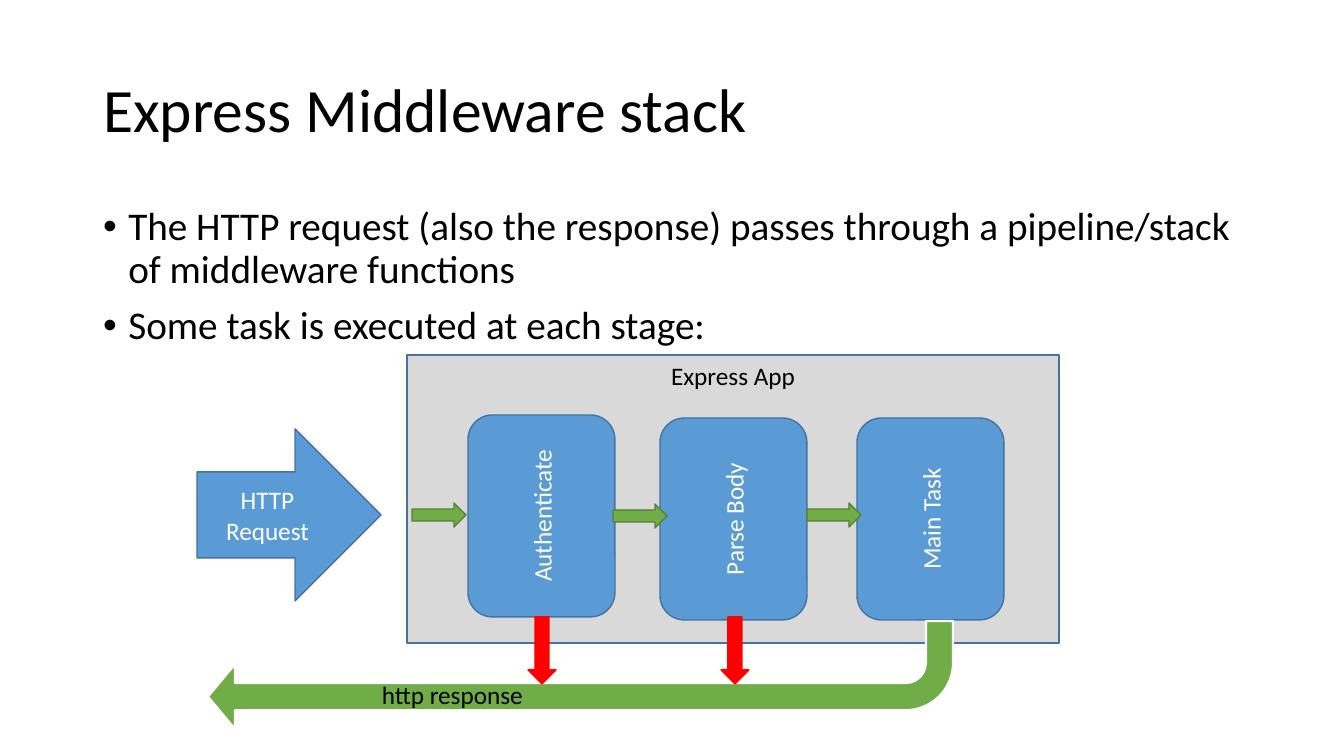
import dataclasses

import pptx
import pptx.dml.color
import pptx.enum.shapes
import pptx.enum.text
import pptx.util

SHAPES = pptx.enum.shapes.MSO_SHAPE
ALIGN = pptx.enum.text.PP_ALIGN
ANCHOR = pptx.enum.text.MSO_ANCHOR
FIT = pptx.enum.text.MSO_AUTO_SIZE
EMU_PER_PIXEL = 914400 / 100.8


@dataclasses.dataclass(frozen=True)
class Theme:
    font: str = "Calibri"
    title_size: int = 44
    body_size: int = 28
    label_size: int = 18
    black: str = "000000"
    white: str = "FFFFFF"
    grey: str = "D9D9D9"
    blue: str = "5B9BD5"
    blue_edge: str = "43739E"
    green: str = "70AD47"
    green_edge: str = "538035"
    red: str = "FF0000"


def emu(pixels):
    return pptx.util.Emu(round(pixels * EMU_PER_PIXEL))


def color(code):
    return pptx.dml.color.RGBColor.from_string(code)


class SlideBuilder:
    def __init__(self, slide, theme):
        self.slide = slide
        self.theme = theme

    def text_run(self, paragraph, text, size, text_color):
        run = paragraph.add_run()
        run.text = text
        run.font.name = self.theme.font
        run.font.size = pptx.util.Pt(size)
        run.font.color.rgb = color(text_color)

    def place(self, placeholder, box):
        left, top, width, height = map(emu, box)
        placeholder.left, placeholder.top = left, top
        placeholder.width, placeholder.height = width, height
        placeholder.text_frame.auto_size = FIT.NONE
        return placeholder.text_frame

    def title(self, text, box):
        frame = self.place(self.slide.shapes.title, box)
        frame.vertical_anchor = ANCHOR.MIDDLE
        paragraph = frame.paragraphs[0]
        paragraph.alignment = ALIGN.LEFT
        paragraph.line_spacing = 0.9
        self.text_run(paragraph, text, self.theme.title_size, self.theme.black)

    def bullets(self, items, box):
        frame = self.place(self.slide.placeholders[1], box)
        for index, item in enumerate(items):
            paragraph = frame.add_paragraph() if index else frame.paragraphs[0]
            paragraph.line_spacing = 0.9
            paragraph.space_before = pptx.util.Pt(10)
            properties = paragraph._p.get_or_add_pPr()
            properties.set("marL", str(pptx.util.Inches(0.25)))
            properties.set("indent", str(pptx.util.Inches(-0.25)))
            self.text_run(paragraph, item, self.theme.body_size, self.theme.black)

    def shape(self, kind, box, fill, edge, edge_width=1):
        shape = self.slide.shapes.add_shape(kind, *map(emu, box))
        shape.shadow.inherit = False
        shape.fill.solid()
        shape.fill.fore_color.rgb = color(fill)
        shape.line.color.rgb = color(edge)
        shape.line.width = pptx.util.Pt(edge_width)
        return shape

    def label(self, shape, text, text_color, anchor=ANCHOR.MIDDLE, upward=False):
        frame = shape.text_frame
        frame.word_wrap = True
        frame.vertical_anchor = anchor
        if upward:
            shape.element.txBody.bodyPr.set("vert", "vert270")
        paragraph = frame.paragraphs[0]
        paragraph.alignment = ALIGN.CENTER
        self.text_run(paragraph, text, self.theme.label_size, text_color)

    def caption(self, text, box):
        frame = self.slide.shapes.add_textbox(*map(emu, box)).text_frame
        frame.word_wrap = False
        frame.auto_size = FIT.SHAPE_TO_FIT_TEXT
        self.text_run(frame.paragraphs[0], text, self.theme.label_size, self.theme.black)


theme = Theme()
presentation = pptx.Presentation()
presentation.slide_width = emu(1344)
presentation.slide_height = emu(756)
slide = presentation.slides.add_slide(presentation.slide_layouts[1])
builder = SlideBuilder(slide, theme)

builder.title("Express Middleware stack", (93, 40, 1159, 146))
builder.bullets(
    [
        "The HTTP request (also the response) passes through a pipeline/stack of middleware functions",
        "Some task is executed at each stage:",
    ],
    (93, 202, 1159, 480),
)

application = builder.shape(SHAPES.RECTANGLE, (407, 355, 652, 288), theme.grey, theme.blue_edge)
builder.label(application, "Express App", theme.black, ANCHOR.TOP)

for name, left, top in (("Authenticate", 468, 415), ("Parse Body", 660, 418), ("Main Task", 857, 418)):
    stage = builder.shape(
        SHAPES.ROUNDED_RECTANGLE, (left, top, 147, 202), theme.blue, theme.blue_edge
    )
    builder.label(stage, name, theme.white, upward=True)

request = builder.shape(SHAPES.RIGHT_ARROW, (197, 429, 184, 172), theme.blue, theme.blue_edge)
builder.label(request, "HTTP Request", theme.white)

for left, top in ((412, 503), (613, 504), (807, 503)):
    builder.shape(SHAPES.RIGHT_ARROW, (left, top, 54, 24), theme.green, theme.green_edge)

response = builder.shape(SHAPES.BENT_ARROW, (208, 621, 745, 108), theme.green, theme.white, 1.5)
response.rotation = 180
for index, value in enumerate((0.25, 0.3, 0.25, 0.44)):
    response.adjustments[index] = value

for left in (721, 528):
    builder.shape(SHAPES.DOWN_ARROW, (left, 617, 28, 67), theme.red, theme.red)

builder.caption("http response", (372, 674, 163, 40))

presentation.save("out.pptx")
